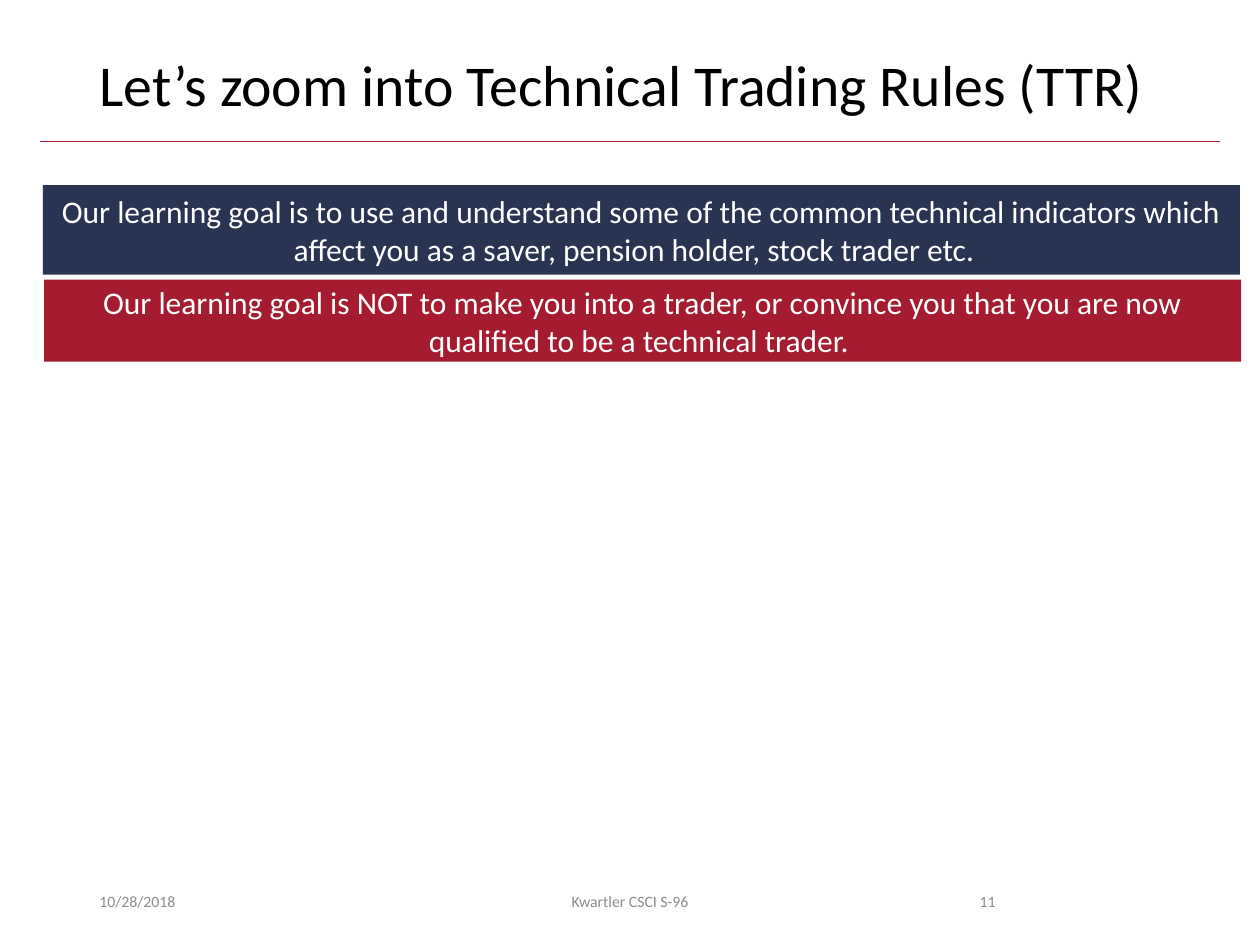
"""Build the Technical Trading Rules learning goals slide."""
from dataclasses import dataclass

from lxml.etree import SubElement
from pptx import Presentation
from pptx.dml.color import RGBColor
from pptx.enum.shapes import MSO_CONNECTOR, MSO_SHAPE
from pptx.enum.text import MSO_ANCHOR, MSO_AUTO_SIZE, PP_ALIGN
from pptx.oxml.ns import qn
from pptx.slide import Slide
from pptx.text.text import TextFrame
from pptx.util import Inches, Pt

NAVY = RGBColor(0x29, 0x33, 0x52)
CRIMSON = RGBColor(0xA5, 0x1C, 0x30)
WHITE = RGBColor(0xFF, 0xFF, 0xFF)
BLACK = RGBColor(0, 0, 0)
GRAY = RGBColor(0x8C, 0x8C, 0x8C)
FONT = "Calibri"
WIDTH, HEIGHT = 10, 7.5
MARGIN = 0.69
RULE_INSET, RULE_TOP = 0.32, 1.12
BANNER_WIDTH = 0.95 * WIDTH
FOOTER_TOP, FOOTER_HEIGHT = 6.95, 0.4


@dataclass(frozen=True)
class Banner:
    left: float
    top: float
    height: float
    color: RGBColor
    text: str


@dataclass(frozen=True)
class FooterItem:
    left: float
    width: float
    alignment: PP_ALIGN
    text: str


BANNERS = (
    Banner(0.34, 1.47, 0.71, NAVY,
           "Our learning goal is to use and understand some of the common technical "
           "indicators which affect you as a saver, pension holder, stock trader etc.  "),
    Banner(0.35, 2.22, 0.65, CRIMSON,
           "Our learning goal is NOT to make you into a trader, or convince you that "
           "you are now qualified to be a technical trader. "),
)
FOOTER_ITEMS = (
    FooterItem(MARGIN, 2.25, PP_ALIGN.LEFT, "10/28/2018"),
    FooterItem(7.06, 0.94, PP_ALIGN.RIGHT, "11"),
    FooterItem(3.31, 3.38, PP_ALIGN.CENTER, "Kwartler CSCI S-96"),
)


def write_text(frame: TextFrame, text: str, size: float, color: RGBColor,
               alignment: PP_ALIGN, anchor: MSO_ANCHOR = MSO_ANCHOR.MIDDLE) -> None:
    frame.word_wrap = True
    frame.auto_size = MSO_AUTO_SIZE.NONE
    frame.vertical_anchor = anchor
    paragraph = frame.paragraphs[0]
    paragraph.alignment = alignment
    run = paragraph.add_run()
    run.text = text
    run.font.name = FONT
    run.font.size = Pt(size)
    run.font.color.rgb = color


def add_title(slide: Slide, text: str) -> None:
    title = slide.shapes.title
    title.left, title.top = Inches(MARGIN), Inches(0.4)
    title.width, title.height = Inches(WIDTH - 2 * MARGIN), Inches(0.65)
    write_text(title.text_frame, text, 33, BLACK, PP_ALIGN.LEFT, MSO_ANCHOR.TOP)
    title.text_frame.paragraphs[0].line_spacing = 0.9


def add_rule(slide: Slide) -> None:
    rule = slide.shapes.add_connector(
        MSO_CONNECTOR.STRAIGHT, Inches(RULE_INSET), Inches(RULE_TOP),
        Inches(WIDTH - RULE_INSET), Inches(RULE_TOP))
    rule.line.color.rgb = CRIMSON
    rule.line.width = Pt(0.5)
    SubElement(rule.element.spPr, qn("a:effectLst"))


def add_banner(slide: Slide, banner: Banner) -> None:
    shape = slide.shapes.add_shape(
        MSO_SHAPE.RECTANGLE, Inches(banner.left), Inches(banner.top),
        Inches(BANNER_WIDTH), Inches(banner.height))
    shape.shadow.inherit = False
    shape.fill.solid()
    shape.fill.fore_color.rgb = banner.color
    shape.line.fill.background()
    write_text(shape.text_frame, banner.text, 18, WHITE, PP_ALIGN.CENTER)


def add_footer_item(slide: Slide, item: FooterItem) -> None:
    box = slide.shapes.add_textbox(
        Inches(item.left), Inches(FOOTER_TOP), Inches(item.width), Inches(FOOTER_HEIGHT))
    write_text(box.text_frame, item.text, 9, GRAY, item.alignment)


def main() -> None:
    presentation = Presentation()
    presentation.slide_width, presentation.slide_height = Inches(WIDTH), Inches(HEIGHT)
    slide = presentation.slides.add_slide(presentation.slide_layouts[5])
    add_rule(slide)
    add_title(slide, "Let’s zoom into Technical Trading Rules (TTR)")
    for item in FOOTER_ITEMS:
        add_footer_item(slide, item)
    for banner in BANNERS:
        add_banner(slide, banner)
    presentation.save("out.pptx")


main()
